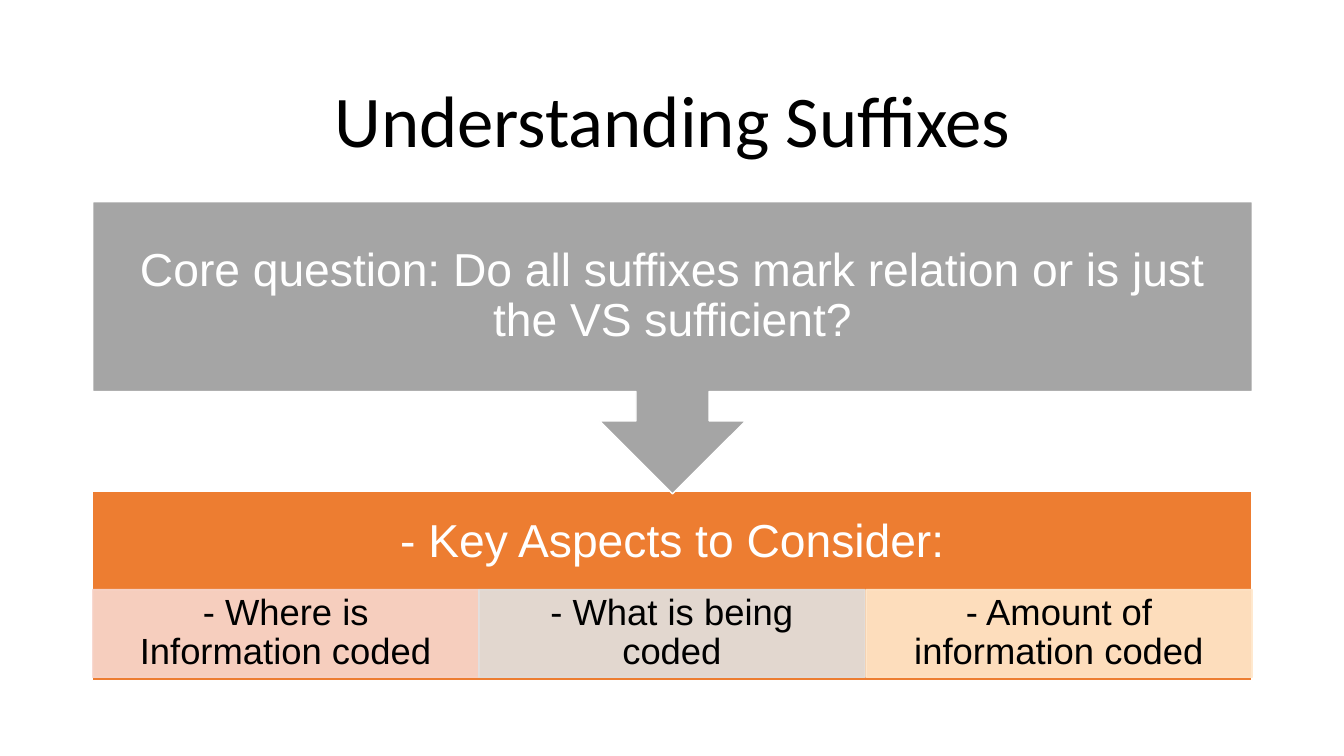
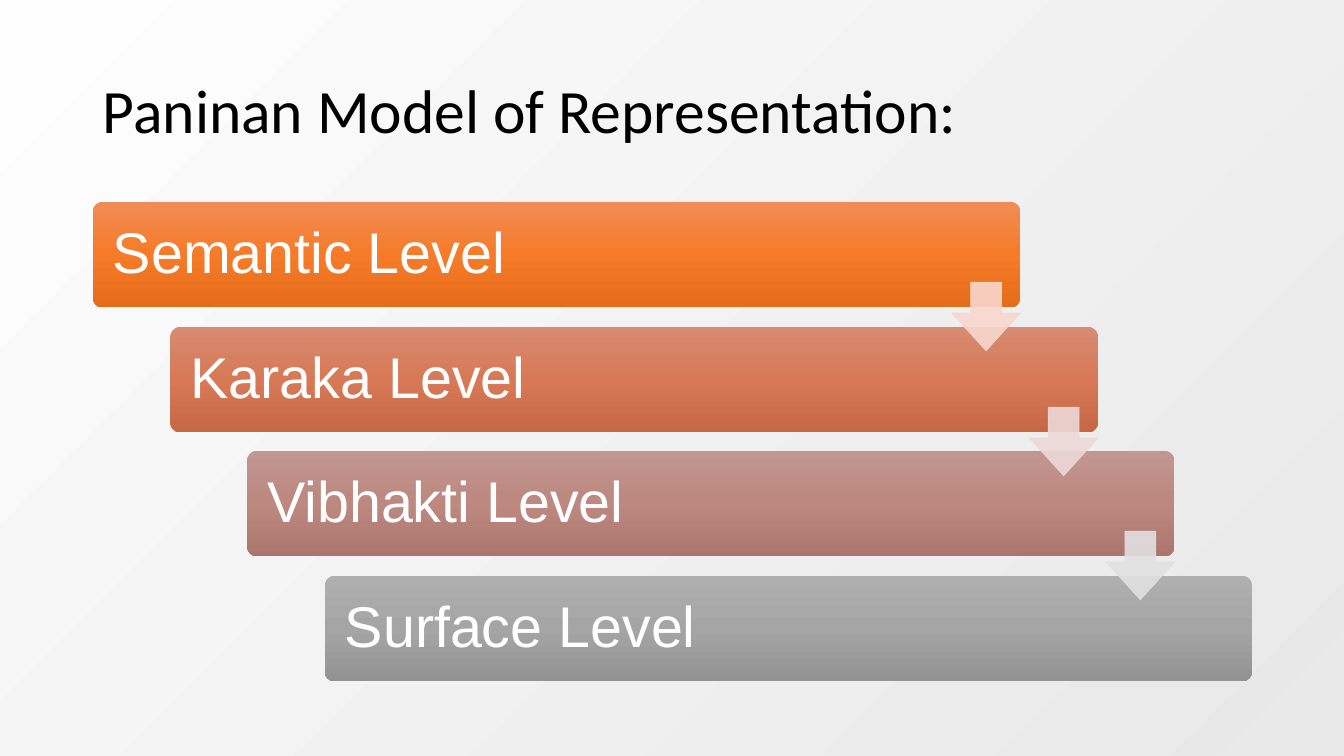
from collections import namedtuple

from lxml.etree import SubElement
from pptx import Presentation
from pptx.dml.color import RGBColor
from pptx.enum.shapes import MSO_SHAPE as Preset
from pptx.enum.text import MSO_ANCHOR as Anchor, PP_ALIGN as Align
from pptx.oxml.ns import qn
from pptx.util import Pt

EMU_PER_PX = 9144
SLIDE_WIDTH, SLIDE_HEIGHT = 1333, 750

BLACK = RGBColor(0x00, 0x00, 0x00)
WHITE = RGBColor(0xFF, 0xFF, 0xFF)
ORANGE = RGBColor(0xED, 0x7D, 0x31)
GRAY = RGBColor(0xA5, 0xA5, 0xA5)
MIST = RGBColor(0xE7, 0xE6, 0xE6)
PEACH = RGBColor(0xF8, 0xD7, 0xCE)
ROSE = RGBColor(0xED, 0xD9, 0xD7)
SILVER = RGBColor(0xE1, 0xE1, 0xE1)
CREAM = RGBColor(0xFF, 0xE8, 0xCC)

Box = namedtuple("Box", "left top width height")
CONTENT = Box(92, 200, 1150, 476)

TITLE_FONT = {"name": "Calibri", "size": Pt(52)}
LEFT_TITLE_FONT = {"name": "Calibri", "size": Pt(44)}
HEADING_FONT = {"name": "Arial", "size": Pt(33)}
CELL_FONT = {"name": "Arial", "size": Pt(26)}
LEVEL_FONT = {"name": "Arial", "size": Pt(41)}

ASPECTS = [
    ("- Where is Information coded", PEACH),
    ("- What is being coded", SILVER),
    ("- Amount of information coded", CREAM),
]
LEVELS = [
    ("Semantic Level", ("F18C57", "F67B28", "E56C19")),
    ("Karaka Level", ("D78B72", "D77956", "C66846")),
    ("Vibhakti Level", ("C19791", "BC8880", "AA766E")),
    ("Surface Level", ("AFAFAF", "A5A5A5", "939393")),
]
STEP_ARROWS = [PEACH, ROSE, SILVER]


def px(value):
    return round(value) * EMU_PER_PX


def set_attributes(target, values):
    for name, value in values.items():
        setattr(target, name, value)


def write_text(shape, text, font, color, insets, align=Align.CENTER):
    frame = shape.text_frame
    left, top, right, bottom = map(px, insets)
    set_attributes(frame, {
        "word_wrap": True, "vertical_anchor": Anchor.MIDDLE,
        "margin_left": left, "margin_top": top,
        "margin_right": right, "margin_bottom": bottom,
    })
    paragraph = frame.paragraphs[0]
    set_attributes(paragraph, {"alignment": align, "line_spacing": 0.9})
    run = paragraph.add_run()
    run.text = text
    set_attributes(run.font, font)
    run.font.color.rgb = color


def add_text(slide, box, *text_format):
    write_text(slide.shapes.add_textbox(*map(px, box)), *text_format)


def add_title(slide, box, text, font, align):
    add_text(slide, box, text, font, BLACK, (10, 5, 10, 5), align)


def add_preset(slide, preset, box, fill, line=None, line_width=1, alpha=None, adjustments=()):
    shape = slide.shapes.add_shape(preset, *map(px, box))
    shape.shadow.inherit = False
    shape.fill.solid()
    shape.fill.fore_color.rgb = fill
    if line is None:
        shape.line.fill.background()
    else:
        shape.line.color.rgb = line
        shape.line.width = Pt(line_width)
    for index, value in enumerate(adjustments):
        shape.adjustments[index] = value
    if alpha is not None:
        for color in list(shape._element.spPr.iter(qn("a:srgbClr"))):
            SubElement(color, qn("a:alpha"), val=str(alpha * 1000))
    return shape


def set_gradient(shape, colors, angle, end_alpha=100):
    properties = shape._element.spPr
    solid = properties.find(qn("a:solidFill"))
    gradient = SubElement(properties, qn("a:gradFill"), rotWithShape="1")
    stops = SubElement(gradient, qn("a:gsLst"))
    for index, color in enumerate(colors):
        position = index * 100000 // (len(colors) - 1)
        stop = SubElement(stops, qn("a:gs"), pos=str(position))
        last = SubElement(stop, qn("a:srgbClr"), val=str(color))
    if end_alpha < 100:
        SubElement(last, qn("a:alpha"), val=str(end_alpha * 1000))
    SubElement(gradient, qn("a:lin"), ang=str(angle * 60000), scaled="0")
    properties.replace(solid, gradient)


def add_aspects_panel(slide, box):
    cell_height = 87
    cell_top = box.top + 98
    cell_width = box.width / len(ASPECTS)
    panel = add_preset(slide, Preset.RECTANGLE, box, ORANGE, WHITE)
    write_text(panel, "- Key Aspects to Consider:", HEADING_FONT, WHITE,
               (26, 26, 26, 26 + box.height - 102))
    for index, (text, color) in enumerate(ASPECTS):
        cell_box = Box(box.left + index * cell_width, cell_top, cell_width, cell_height)
        cell = add_preset(slide, Preset.RECTANGLE, cell_box, color, color, alpha=90)
        write_text(cell, text, CELL_FONT, BLACK, (20, 4, 20, 4))


def add_question_callout(slide, box):
    callout = add_preset(slide, Preset.UP_ARROW_CALLOUT, box, GRAY, WHITE)
    callout.rotation = 180
    add_text(slide, box._replace(height=box.height * 0.65),
             "Core question: Do all suffixes mark relation or is just the VS sufficient?",
             HEADING_FONT, WHITE, (26, 26, 26, 26))


def add_staircase(slide, box):
    bar_width, bar_height, arrow_size = 920, 105, 68
    gaps = len(LEVELS) - 1
    step_x = (box.width - bar_width) / gaps
    step_y = (box.height - bar_height) / gaps
    bars = [Box(box.left + index * step_x, box.top + index * step_y, bar_width, bar_height)
            for index in range(len(LEVELS))]
    for bar_box, (text, colors) in zip(bars, LEVELS):
        bar = add_preset(slide, Preset.ROUNDED_RECTANGLE, bar_box, WHITE, adjustments=[0.1])
        set_gradient(bar, colors, 90)
        write_text(bar, text, LEVEL_FONT, WHITE, (17, 17, 17, 17), Align.LEFT)
    for bar_box, color in zip(bars, STEP_ARROWS):
        arrow_box = Box(bar_box.left + bar_width - arrow_size, bar_box.top + 80,
                        arrow_size, arrow_size)
        add_preset(slide, Preset.DOWN_ARROW, arrow_box, color, color, 0.5, 90, [0.45, 0.55])


def build_suffixes_slide(slide):
    add_title(slide, Box(92, 61, 1150, 124), "Understanding Suffixes", TITLE_FONT, Align.CENTER)
    add_aspects_panel(slide, CONTENT._replace(top=487, height=188))
    add_question_callout(slide, CONTENT._replace(height=290))


def build_model_slide(slide):
    backdrop = add_preset(slide, Preset.RECTANGLE, Box(0, 0, SLIDE_WIDTH + 1, SLIDE_HEIGHT), WHITE)
    set_gradient(backdrop, [WHITE, MIST], 45, 84)
    add_title(slide, Box(92, 40, 1150, 145), "Paninan Model of Representation:",
              LEFT_TITLE_FONT, Align.LEFT)
    add_staircase(slide, CONTENT)


def main():
    presentation = Presentation()
    set_attributes(presentation, {"slide_width": px(SLIDE_WIDTH), "slide_height": px(SLIDE_HEIGHT)})
    blank = presentation.slide_layouts[6]
    for build in (build_suffixes_slide, build_model_slide):
        build(presentation.slides.add_slide(blank))
    presentation.save("out.pptx")


if __name__ == "__main__":
    main()
